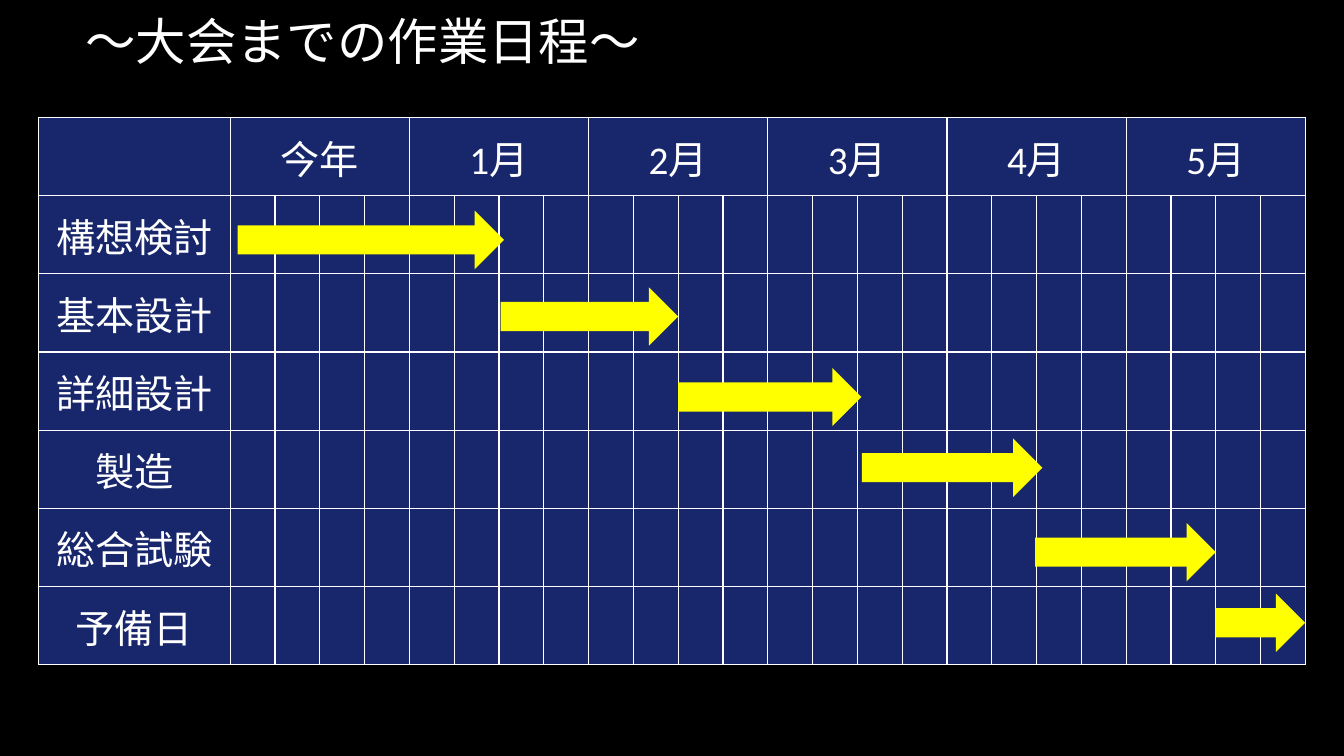
"""Build the work schedule slide leading up to the competition."""
import dataclasses

import pptx
import pptx.dml.color
import pptx.enum.shapes
import pptx.enum.text
import pptx.oxml
import pptx.oxml.ns
import pptx.util

Cm = pptx.util.Cm
RGBColor = pptx.dml.color.RGBColor
PP_ALIGN = pptx.enum.text.PP_ALIGN
MIDDLE = pptx.enum.text.MSO_ANCHOR.MIDDLE

BLACK = RGBColor(0x00, 0x00, 0x00)
WHITE = RGBColor(0xFF, 0xFF, 0xFF)
NAVY = RGBColor(0x18, 0x27, 0x6C)
YELLOW = RGBColor(0xFF, 0xFF, 0x00)

MONTHS = ["今年", "1月", "2月", "3月", "4月", "5月"]
WEEKS_PER_MONTH = 4
TABLE_LEFT, TABLE_TOP = 0.97, 2.96
TASK_WIDTH, WEEK_WIDTH, ROW_HEIGHT = 4.83, 1.13, 1.97
ARROW_HEIGHT = 1.47


@dataclasses.dataclass(frozen=True)
class Task:
    name: str
    left: float
    top: float
    width: float


TASKS = [
    Task("構想検討", 5.99, 5.31, 6.71),
    Task("基本設計", 12.62, 7.24, 4.47),
    Task("詳細設計", 17.09, 9.27, 4.62),
    Task("製造", 21.72, 11.05, 4.55),
    Task("総合試験", 26.09, 13.18, 4.55),
    Task("予備日", 30.63, 14.96, 2.26),
]


def write(tf, text: str, *, size: int = 28, font: str = "Calibri",
          align=PP_ALIGN.CENTER, spacing: float = 1.0) -> None:
    p = tf.paragraphs[0]
    p.alignment = align
    p.line_spacing = spacing
    r = p.add_run()
    r.text = text
    r.font.size = pptx.util.Pt(size)
    r.font.name = font
    r.font.color.rgb = WHITE


def style_cell(cell) -> None:
    tc_pr = cell._tc.get_or_add_tcPr()
    for side in ("lnL", "lnR", "lnT", "lnB"):
        tc_pr.append(pptx.oxml.parse_xml(
            f'<a:{side} {pptx.oxml.ns.nsdecls("a")} w="12700"><a:solidFill>'
            f'<a:srgbClr val="{WHITE}"/></a:solidFill></a:{side}>'))
    cell.fill.solid()
    cell.fill.fore_color.rgb = NAVY
    cell.vertical_anchor = MIDDLE
    cell.margin_left = cell.margin_right = cell.margin_top = Cm(0.02)
    cell.margin_bottom = 0


def add_title(s, text: str) -> None:
    tf = s.shapes.add_textbox(Cm(1.9), Cm(-0.91), Cm(28.14), Cm(4.04)).text_frame
    tf.word_wrap = True
    tf.vertical_anchor = MIDDLE
    write(tf, text, size=36, align=PP_ALIGN.LEFT, spacing=0.9)


def add_schedule(s) -> None:
    weeks = len(MONTHS) * WEEKS_PER_MONTH
    rows = len(TASKS) + 1
    table = s.shapes.add_table(
        rows, weeks + 1, Cm(TABLE_LEFT), Cm(TABLE_TOP),
        Cm(TASK_WIDTH + weeks * WEEK_WIDTH), Cm(rows * ROW_HEIGHT)).table
    table.first_row = table.horz_banding = False
    for i, column in enumerate(table.columns):
        column.width = Cm(WEEK_WIDTH if i else TASK_WIDTH)
    for row in table.rows:
        row.height = Cm(ROW_HEIGHT)
    for cell in table.iter_cells():
        style_cell(cell)
    for i, month in enumerate(MONTHS):
        first = 1 + i * WEEKS_PER_MONTH
        cell = table.cell(0, first)
        cell.merge(table.cell(0, first + WEEKS_PER_MONTH - 1))
        write(cell.text_frame, month, font="Calibri" if i else "Arial")
    for i, task in enumerate(TASKS, start=1):
        write(table.cell(i, 0).text_frame, task.name)


def add_arrow(s, task: Task) -> None:
    sp = s.shapes.add_shape(
        pptx.enum.shapes.MSO_SHAPE.RIGHT_ARROW,
        Cm(task.left), Cm(task.top), Cm(task.width), Cm(ARROW_HEIGHT))
    sp.shadow.inherit = False
    sp.fill.solid()
    sp.fill.fore_color.rgb = YELLOW
    sp.line.fill.background()


def main() -> None:
    prs = pptx.Presentation()
    prs.slide_width, prs.slide_height = Cm(33.87), Cm(19.05)
    s = prs.slides.add_slide(prs.slide_layouts[6])
    s.background.fill.solid()
    s.background.fill.fore_color.rgb = BLACK
    add_title(s, "～大会までの作業日程～")
    add_schedule(s)
    for task in TASKS:
        add_arrow(s, task)
    prs.save("out.pptx")


if __name__ == "__main__":
    main()
